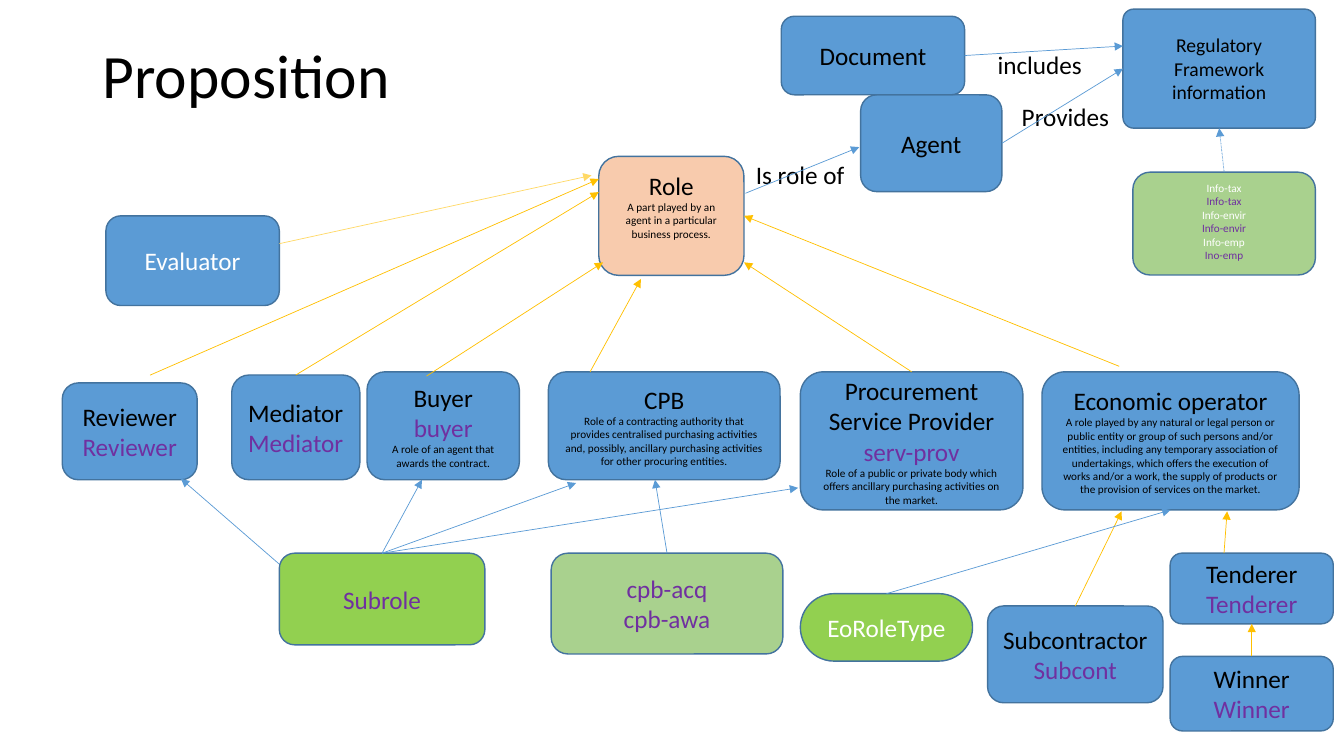
from dataclasses import dataclass

from lxml import etree
from pptx import Presentation
from pptx.dml.color import RGBColor
from pptx.enum.dml import MSO_LINE
from pptx.enum.shapes import MSO_CONNECTOR, MSO_SHAPE
from pptx.enum.text import MSO_ANCHOR, MSO_AUTO_SIZE, PP_ALIGN
from pptx.oxml.ns import qn
from pptx.util import Cm, Pt

ROUNDED = MSO_SHAPE.ROUNDED_RECTANGLE
STRAIGHT = MSO_CONNECTOR.STRAIGHT
DOTTED = MSO_LINE.ROUND_DOT
TOP, MIDDLE = MSO_ANCHOR.TOP, MSO_ANCHOR.MIDDLE
LEFT, CENTER = PP_ALIGN.LEFT, PP_ALIGN.CENTER
GROW = MSO_AUTO_SIZE.SHAPE_TO_FIT_TEXT
TITLE_ONLY = 5


@dataclass(frozen=True)
class Theme:
    font: str = "Calibri"
    black: str = "000000"
    white: str = "FFFFFF"
    purple: str = "7030A0"
    blue: str = "5B9BD5"
    outline: str = "43739E"
    peach: str = "F8CBAD"
    sage: str = "A9D18E"
    green: str = "92D050"
    gold: str = "FFC000"
    pale_gold: str = "FFD966"
    title: int = 44
    name: int = 18
    framework: int = 14
    note: int = 8
    box_line: float = 1
    link_line: float = 0.5


@dataclass(frozen=True)
class Box:
    """A rectangle in centimetres."""
    left: float
    top: float
    width: float
    height: float

    def inner(self, left, top, width, height):
        return Box(self.left + left, self.top + top, width, height)

    def spot(self, across, down):
        return Cm(self.left + across * self.width), Cm(self.top + down * self.height)

    def lengths(self):
        return [Cm(side) for side in (self.left, self.top, self.width, self.height)]


THEME = Theme()


# Text lines: (wording, size, colour)
def name(text, color=THEME.black):
    return text, THEME.name, color


def code(text):
    return name(text, THEME.purple)


def note(text, color=THEME.black):
    return text, THEME.note, color


def write(frame, lines, align):
    frame.word_wrap = True
    for index, (text, size, color) in enumerate(lines):
        para = frame.paragraphs[0] if index == 0 else frame.add_paragraph()
        para.text = text
        para.alignment = align
        para.font.name = THEME.font
        para.font.size = Pt(size)
        para.font.color.rgb = RGBColor.from_string(color)


def add_box(page, box, lines, fill=THEME.blue, corner=None, top_inset=None):
    shape = page.shapes.add_shape(ROUNDED, *box.lengths())
    shape.shadow.inherit = False
    shape.fill.solid()
    shape.fill.fore_color.rgb = RGBColor.from_string(fill)
    shape.line.color.rgb = RGBColor.from_string(THEME.outline)
    shape.line.width = Pt(THEME.box_line)
    if corner is not None:
        shape.adjustments[0] = corner
    frame = shape.text_frame
    frame.vertical_anchor = MIDDLE
    if top_inset is not None:
        frame.vertical_anchor = TOP
        frame.margin_top = Cm(top_inset)
    write(frame, lines, CENTER)
    return box


def add_label(page, box, text):
    frame = page.shapes.add_textbox(*box.lengths()).text_frame
    write(frame, [name(text)], LEFT)
    frame.auto_size = GROW


def add_link(page, start, end, color, dash=None):
    link = page.shapes.add_connector(STRAIGHT, *start, *end)
    link.line.color.rgb = RGBColor.from_string(color)
    link.line.width = Pt(THEME.link_line)
    if dash is not None:
        link.line.dash_style = dash
    etree.SubElement(link.line._get_or_add_ln(), qn("a:tailEnd"), type="triangle")
    etree.SubElement(link._element.spPr, qn("a:effectLst"))


def draw_title(page, box):
    title = page.shapes.title
    title.left, title.top, title.width, title.height = box.lengths()
    write(title.text_frame, [("Proposition", THEME.title, THEME.black)], LEFT)
    title.text_frame.vertical_anchor = TOP
    title.text_frame.paragraphs[0].line_spacing = 0.9


def draw_framework(page, area):
    """Document, agent and the information they relate to."""
    info_lines = [note(text, color) for text, color in (
        ("Info-tax", THEME.white), ("Info-tax", THEME.purple),
        ("Info-envir", THEME.white), ("Info-envir", THEME.purple),
        ("Info-emp", THEME.white), ("Ino-emp", THEME.purple))]
    framework = [("Regulatory Framework information", THEME.framework, THEME.black)]
    boxes = {
        "agent": add_box(page, area.inner(2.89, 2.16, 3.56, 2.44), [name("Agent")]),
        "document": add_box(page, area.inner(0.89, 0.18, 4.62, 1.98), [name("Document")]),
        "framework": add_box(page, area.inner(9.5, 0, 4.85, 3), framework, corner=0.09),
        "info": add_box(page, area.inner(9.75, 4.11, 4.6, 2.59), info_lines,
                        THEME.sage, top_inset=0.1),
    }
    for text, left, top, width in (("Is role of", 0, 3.66, 3.45),
                                   ("Provides", 6.7, 2.21, 3.81),
                                   ("includes", 6.09, 0.89, 2.79)):
        add_label(page, area.inner(left, top, width, 1.02), text)
    return boxes


def draw_role(page, area):
    """The central role and the evaluator."""
    role = [name("Role"), note("A part played by an agent in a particular business process.")]
    return {
        "evaluator": add_box(page, area.inner(0, 1.5, 4.37, 2.26),
                             [name("Evaluator", THEME.white)]),
        "role": add_box(page, area.inner(12.42, 0, 3.66, 3), role, THEME.peach, top_inset=0.2),
    }


def draw_parties(page, area):
    """The row of parties that play the role."""
    parties = (
        ("reviewer", 0, 0.28, 3.4, 2.44, [name("Reviewer"), code("Reviewer")]),
        ("mediator", 4.27, 0.08, 3.23, 2.64, [name("Mediator"), code("Mediator")]),
        ("buyer", 7.68, 0, 3.84, 2.72, [name("Buyer"), code("buyer"), note(
            "A role of an agent that awards the contract.")]),
        ("cpb", 12.25, 0, 5.84, 2.72, [name("CPB"), note(
            "Role of a contracting authority that provides centralised purchasing activities "
            "and, possibly, ancillary purchasing activities for other procuring entities.")]),
        ("provider", 18.6, 0, 5.61, 3.48, [
            name("Procurement Service Provider"), code("serv-prov"), note(
                "Role of a public or private body which offers ancillary purchasing "
                "activities on the market.")]),
        ("operator", 24.69, 0, 6.48, 3.48, [name("Economic operator"), note(
            "A role played by any natural or legal person or public entity or group of such "
            "persons and/or entities, including any temporary association of undertakings, "
            "which offers the execution of works and/or a work, the supply of products or "
            "the provision of services on the market.")]),
    )
    return {key: add_box(page, area.inner(*place), lines) for key, *place, lines in parties}


def draw_subroles(page, area):
    """Subroles and code lists under the parties."""
    return {
        "subrole": add_box(page, area.inner(0, 0, 5.18, 2.31), [code("Subrole")], THEME.green),
        "cpb codes": add_box(page, area.inner(6.85, 0, 5.84, 2.54),
                             [code("cpb-acq"), code("cpb-awa")], THEME.sage),
        "role type": add_box(page, area.inner(13.13, 1.02, 4.34, 1.7),
                             [name("EoRoleType", THEME.white)], THEME.green, corner=0.5),
        "subcontractor": add_box(page, area.inner(17.85, 1.33, 4.42, 2.44),
                                 [name("Subcontractor"), code("Subcont")]),
        "tenderer": add_box(page, area.inner(22.45, 0, 4.11, 1.78),
                            [name("Tenderer"), code("Tenderer")]),
        "winner": add_box(page, area.inner(22.45, 2.6, 4.11, 1.88),
                          [name("Winner"), code("Winner")]),
    }


# Each link joins spots given as shares of a box's width and height
LINKS = {
    THEME.gold: (
        ("reviewer", (0.65, -0.08), "role", (0, 0.19)),
        ("mediator", (0.5, 0), "role", (0, 0.3)),
        ("buyer", (0.39, 0.04), "role", (0.03, 0.89)),
        ("cpb", (0.18, 0), "role", (0.29, 1.03)),
        ("provider", (0.5, 0), "role", (1, 0.89)),
        ("operator", (0.3, -0.04), "role", (1, 0.5)),
        ("tenderer", (0.33, 0), "operator", (0.72, 1.01)),
        ("subcontractor", (0.5, 0), "operator", (0.31, 1.01)),
        ("winner", (0.5, 0), "tenderer", (0.5, 1))),
    THEME.pale_gold: (("evaluator", (1, 0.31), "role", (-0.05, 0.16)),),
    THEME.blue: (
        ("role", (1.01, 0.31), "agent", (-0.01, 0.54)),
        ("agent", (1, 0.5), "framework", (0, 0.5)),
        ("document", (1, 0.5), "framework", (0, 0.31)),
        ("info", (0.5, 0), "framework", (0.5, 1), DOTTED),
        ("cpb codes", (0.5, 0), "cpb", (0.46, 1)),
        ("role type", (0.5, 0), "operator", (0.5, 1)),
        ("subrole", (0, 0.12), "reviewer", (0.88, 0.99)),
        ("subrole", (0.5, 0), "buyer", (0.36, 1)),
        ("subrole", (0.5, 0), "cpb", (0.12, 1.03)),
        ("subrole", (0.5, 0), "provider", (-0.01, 0.84))),
}


def draw_links(page, boxes):
    for color, links in LINKS.items():
        for source, leave, target, arrive, *dash in links:
            add_link(page, boxes[source].spot(*leave), boxes[target].spot(*arrive), color, *dash)


deck = Presentation()
deck.slide_width, deck.slide_height = Cm(33.87), Cm(19.05)
page = deck.slides.add_slide(deck.slide_layouts[TITLE_ONLY])
draw_title(page, Box(2.33, 1.02, 29.21, 3.68))
draw_links(page, {
    **draw_role(page, Box(2.67, 3.94, 16.08, 3.76)),
    **draw_parties(page, Box(1.57, 9.37, 31.17, 3.48)),
    **draw_subroles(page, Box(7.04, 13.94, 26.56, 4.48)),
    **draw_framework(page, Box(18.8, 0.23, 14.35, 6.7)),
})
deck.save("out.pptx")
